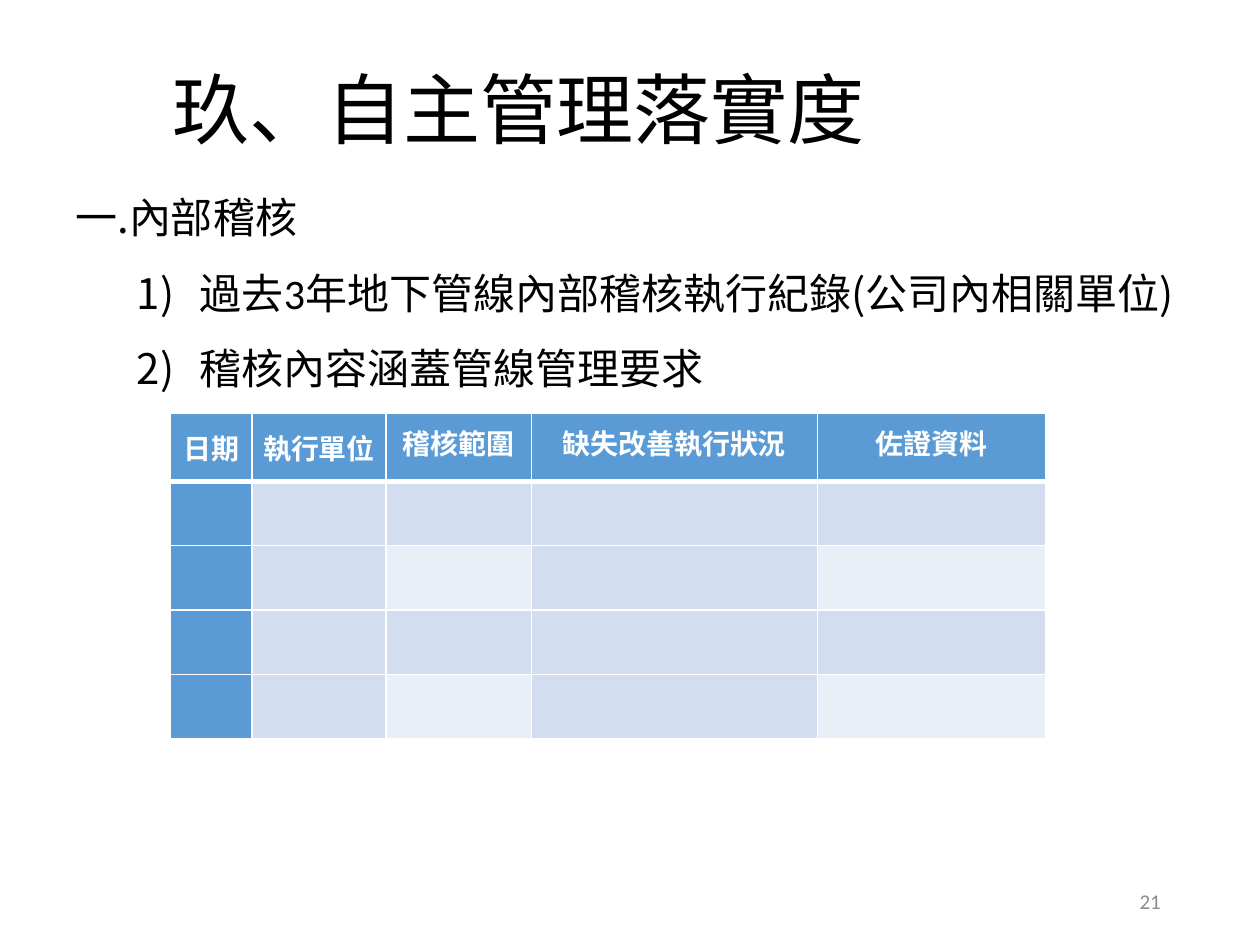
from lxml import etree
from pptx import Presentation
from pptx.dml.color import RGBColor
from pptx.enum.text import MSO_ANCHOR, PP_ALIGN
from pptx.oxml.ns import qn
from pptx.util import Cm, Pt

MIDDLE = MSO_ANCHOR.MIDDLE
CENTER, RIGHT = PP_ALIGN.CENTER, PP_ALIGN.RIGHT
CJK, LATIN = "Noto Sans CJK SC", "Calibri"
COLORS = {"text": "000000", "number": "8C8C8C", "white": "FFFFFF",
          "head": "5B9BD5", "band": "D2DEEF", "light": "EAEFF7"}


def rgb(name):
    return RGBColor.from_string(COLORS[name])


def style(r, size, color="text", font=CJK, bold=False):
    r.font.size, r.font.name, r.font.bold = Pt(size), font, bold
    r.font.color.rgb = rgb(color)
    etree.SubElement(r.font._element, qn("a:ea")).set("typeface", font)


def add_text(s, box, inset=None):
    tf = s.shapes.add_textbox(*map(Cm, box)).text_frame
    tf.word_wrap, tf.vertical_anchor = True, MIDDLE
    if inset is not None:
        tf.margin_left = tf.margin_right = Cm(inset)
        tf.margin_top = tf.margin_bottom = Cm(inset)
    return tf


def number_paragraph(p):
    pPr = p._p.get_or_add_pPr()
    pPr.set("marL", str(Cm(2.51)))
    pPr.set("indent", str(Cm(-1.27)))
    etree.SubElement(pPr, qn("a:buFont")).set("typeface", CJK)
    etree.SubElement(pPr, qn("a:buAutoNum")).set("type", "arabicParenR")


def set_borders(cell, widths):
    tcPr = cell._tc.get_or_add_tcPr()
    for i, (side, width) in enumerate(widths.items()):
        ln = etree.Element(qn("a:ln" + side), w=str(Pt(width)))
        fill = etree.SubElement(ln, qn("a:solidFill"))
        etree.SubElement(fill, qn("a:srgbClr")).set("val", COLORS["white"])
        tcPr.insert(i, ln)


# Title
def add_title(s, box, text):
    p = add_text(s, box, 0).paragraphs[0]
    p.text, p.line_spacing = text, 0.9
    style(p.runs[0], 44)
    p.runs[0].font._element.set("spc", "-10")


# Heading with numbered points; each paragraph is a list of (text, font)
def add_points(s, box, paragraphs):
    tf = add_text(s, box)
    for i, parts in enumerate(paragraphs):
        p = tf.add_paragraph() if i else tf.paragraphs[0]
        p.line_spacing = 1.5
        if i:
            number_paragraph(p)
        for text, font in parts:
            r = p.add_run()
            r.text = text
            style(r, 24, font=font)


# Audit table
def add_audit_table(s, box, headers, col_widths, head_height, row_height, rows):
    frame = s.shapes.add_table(rows + 1, len(headers), *map(Cm, box))
    table = frame.table
    for col, width in zip(table.columns, col_widths):
        col.width = Cm(width)
    for i, row in enumerate(table.rows):
        row.height = Cm(row_height if i else head_height)
        for j, cell in enumerate(row.cells):
            if i == 0 or j == 0:
                color = "head"
            else:
                color = "light" if i % 2 == 0 and j % 2 == 0 else "band"
            cell.fill.solid()
            cell.fill.fore_color.rgb = rgb(color)
            set_borders(cell, {"L": 1, "R": 1, "T": 3 if i == 1 else 1,
                               "B": 3 if i == 0 else 1})
    for j, text in enumerate(headers):
        cell = table.cell(0, j)
        cell.vertical_anchor = MIDDLE
        cell.margin_left = cell.margin_right = Cm(0.18)
        cell.margin_top = cell.margin_bottom = 0
        p = cell.text_frame.paragraphs[0]
        p.text, p.alignment = text, CENTER
        if j > 1:
            p.line_spacing = Pt(18)
        style(p.runs[0], 16, "white", bold=True)


# Slide number
def add_number(s, box, text):
    p = add_text(s, box).paragraphs[0]
    p.text, p.alignment = text, RIGHT
    style(p.runs[0], 12, "number", LATIN)


prs = Presentation()
prs.slide_width, prs.slide_height = Cm(25.4), Cm(19.05)
s = prs.slides.add_slide(prs.slide_layouts[6])

add_number(s, (17.93, 17.65, 5.72, 1.02), "21")
add_title(s, (3.48, 1.45, 19.38, 1.7), "玖、自主管理落實度")
add_audit_table(s, (3.43, 8.33, 17.65, 6.55),
                ["日期", "執行單位", "稽核範圍", "缺失改善執行狀況", "佐證資料"],
                [1.65, 2.7, 2.93, 5.77, 4.6], 1.37, 1.3, 4)
add_points(s, (1.27, 3.2, 23.7, 4.88), [
    [("一.內部稽核", CJK)],
    [("過去", CJK), ("3", LATIN),
     ("年地下管線內部稽核執行紀錄(公司內相關單位)", CJK)],
    [("稽核內容涵蓋管線管理要求", CJK)],
])

prs.save("out.pptx")
